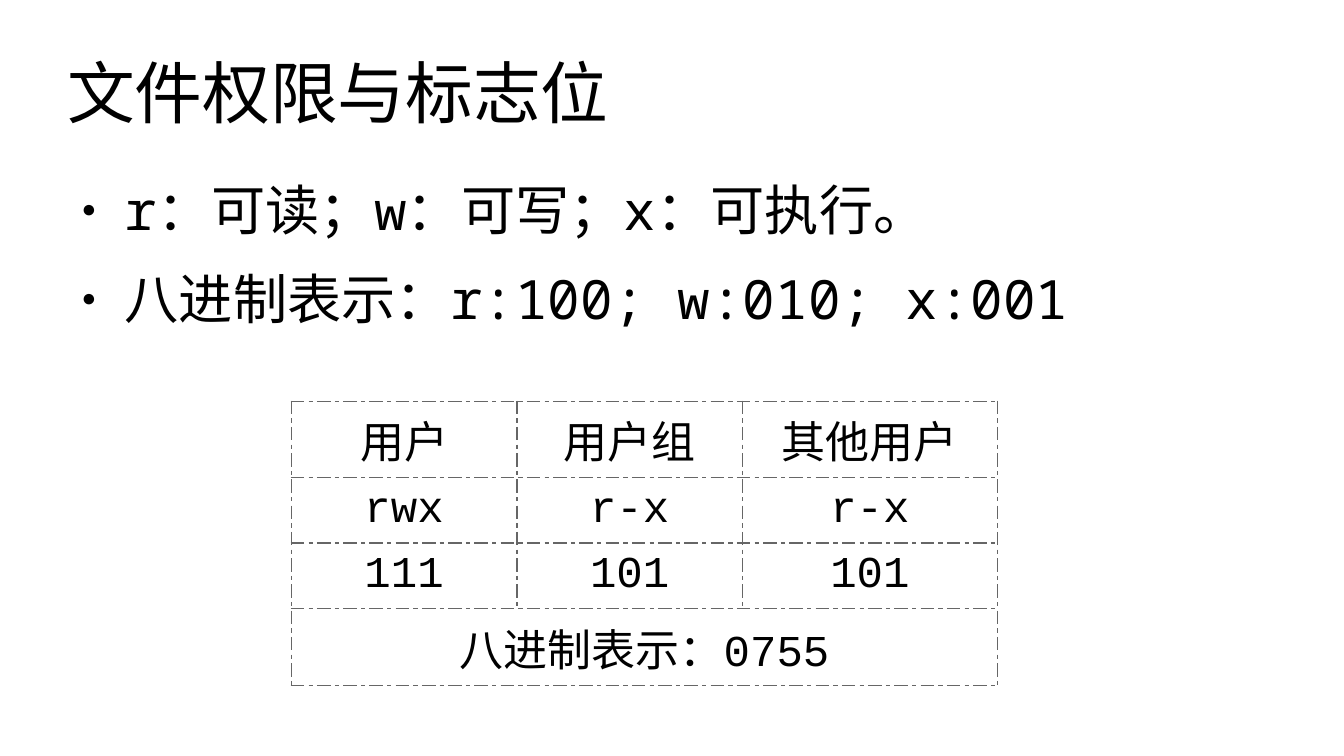
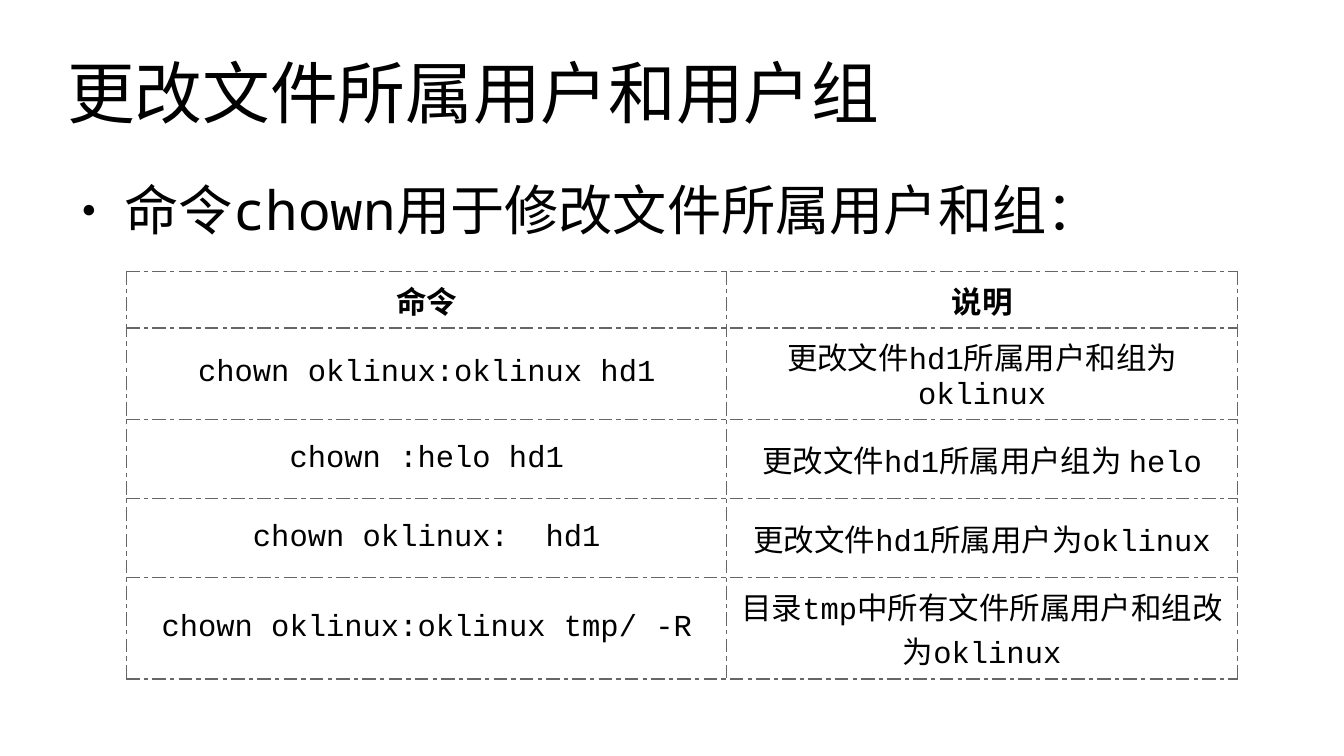
from dataclasses import dataclass

from lxml import etree
from pptx import Presentation
from pptx.dml.color import RGBColor
from pptx.enum.text import MSO_ANCHOR, MSO_AUTO_SIZE, PP_ALIGN
from pptx.oxml import parse_xml
from pptx.oxml.ns import nsdecls, qn
from pptx.util import Cm, Pt

LEFT, CENTER = PP_ALIGN.LEFT, PP_ALIGN.CENTER
TOP, MIDDLE = MSO_ANCHOR.TOP, MSO_ANCHOR.MIDDLE
FIXED = MSO_AUTO_SIZE.NONE


@dataclass(frozen=True)
class Theme:
    ink: RGBColor = RGBColor(0, 0, 0)
    rule: str = "666666"
    head: str = "Noto Sans Mono"
    code: str = "Courier New"
    title: int = 40
    body: int = 32
    line: float = 0.85


theme = Theme()


def style(para, face, size, align, bold=False):
    para.alignment = align
    font = para.font
    font.name, font.size, font.bold = face, Pt(size), bold
    font.color.rgb = theme.ink


def border(cell):
    props = cell._tc.get_or_add_tcPr()
    for spot, side in enumerate(("lnL", "lnR", "lnT", "lnB")):
        props.insert(spot, parse_xml(
            f'<a:{side} {nsdecls("a")} w="{Pt(theme.line)}">'
            f'<a:solidFill><a:srgbClr val="{theme.rule}"/></a:solidFill>'
            f'<a:prstDash val="dashDot"/></a:{side}>'))


pages = [
    {
        "title": "文件权限与标志位",
        "items": ["r：可读；w：可写；x：可执行。", "八进制表示：r:100; w:010; x:001"],
        "at": (6.07, 8.36),
        "cols": [4.7, 4.7, 5.31],
        "rows": [1.55, 1.37, 1.37, 1.55],
        "size": 26,
        "bold": False,
        "cells": [
            ["用户", "用户组", "其他用户"],
            ["rwx", "r-x", "r-x"],
            ["111", "101", "101"],
            ["八进制表示：0755"],
        ],
    },
    {
        "title": "更改文件所属用户和用户组",
        "items": ["命令chown用于修改文件所属用户和组："],
        "at": (2.64, 5.66),
        "cols": [12.5, 10.64],
        "rows": [1.14, 1.88, 1.65, 1.65, 2.08],
        "size": 18,
        "bold": True,
        "cells": [
            ["命令", "说明"],
            ["chown oklinux:oklinux hd1", "更改文件hd1所属用户和组为oklinux"],
            ["chown :helo hd1", "更改文件hd1所属用户组为 helo"],
            ["chown oklinux:  hd1", "更改文件hd1所属用户为oklinux"],
            ["chown oklinux:oklinux tmp/ -R", "目录tmp中所有文件所属用户和组改为oklinux"],
        ],
    },
]

deck = Presentation()
deck.slide_width, deck.slide_height = Cm(28), Cm(15.75)

for page in pages:
    slide = deck.slides.add_slide(deck.slide_layouts[1])
    title, body = slide.shapes.title, slide.placeholders[1]
    for shape, top, height, anchor in (
        (title, 0.63, 2.57, MIDDLE),
        (body, 3.68, 9.14, TOP),
    ):
        shape.left, shape.top = Cm(1.4), Cm(top)
        shape.width, shape.height = Cm(25.2), Cm(height)
        frame = shape.text_frame
        frame.margin_left = frame.margin_right = 0
        frame.margin_top = frame.margin_bottom = 0
        frame.word_wrap, frame.auto_size = True, FIXED
        frame.vertical_anchor = anchor

    title.text_frame.text = page["title"]
    style(title.text_frame.paragraphs[0], theme.head, theme.title, LEFT)

    body.text_frame.text = "\n".join(page["items"])
    for para in body.text_frame.paragraphs:
        props = para._p.get_or_add_pPr()
        props.set("marL", str(Cm(1.2)))
        props.set("indent", str(Cm(-0.9)))
        color = etree.SubElement(props, qn("a:buClr"))
        etree.SubElement(color, qn("a:srgbClr"), val=str(theme.ink))
        etree.SubElement(props, qn("a:buSzPct"), val="45000")
        etree.SubElement(props, qn("a:buChar"), char="●")
        para.space_before = Pt(14.2)
        style(para, theme.head, theme.body, LEFT)

    cols, rows = page["cols"], page["rows"]
    left, top = page["at"]
    table = slide.shapes.add_table(
        len(rows), len(cols), Cm(left), Cm(top), Cm(sum(cols)), Cm(sum(rows))
    ).table
    table.first_row = table.horz_banding = False
    for col, width in zip(table.columns, cols):
        col.width = Cm(width)
    for row, height in zip(table.rows, rows):
        row.height = Cm(height)
    for cell in table.iter_cells():
        cell.fill.background()
        border(cell)
    for y, texts in enumerate(page["cells"]):
        if len(texts) < len(cols):
            table.cell(y, 0).merge(table.cell(y, len(cols) - 1))
        for x, text in enumerate(texts):
            cell = table.cell(y, x)
            cell.text = text
            cell.vertical_anchor = MIDDLE
            style(cell.text_frame.paragraphs[0], theme.code, page["size"],
                  CENTER, page["bold"] and y == 0)

deck.save("out.pptx")
